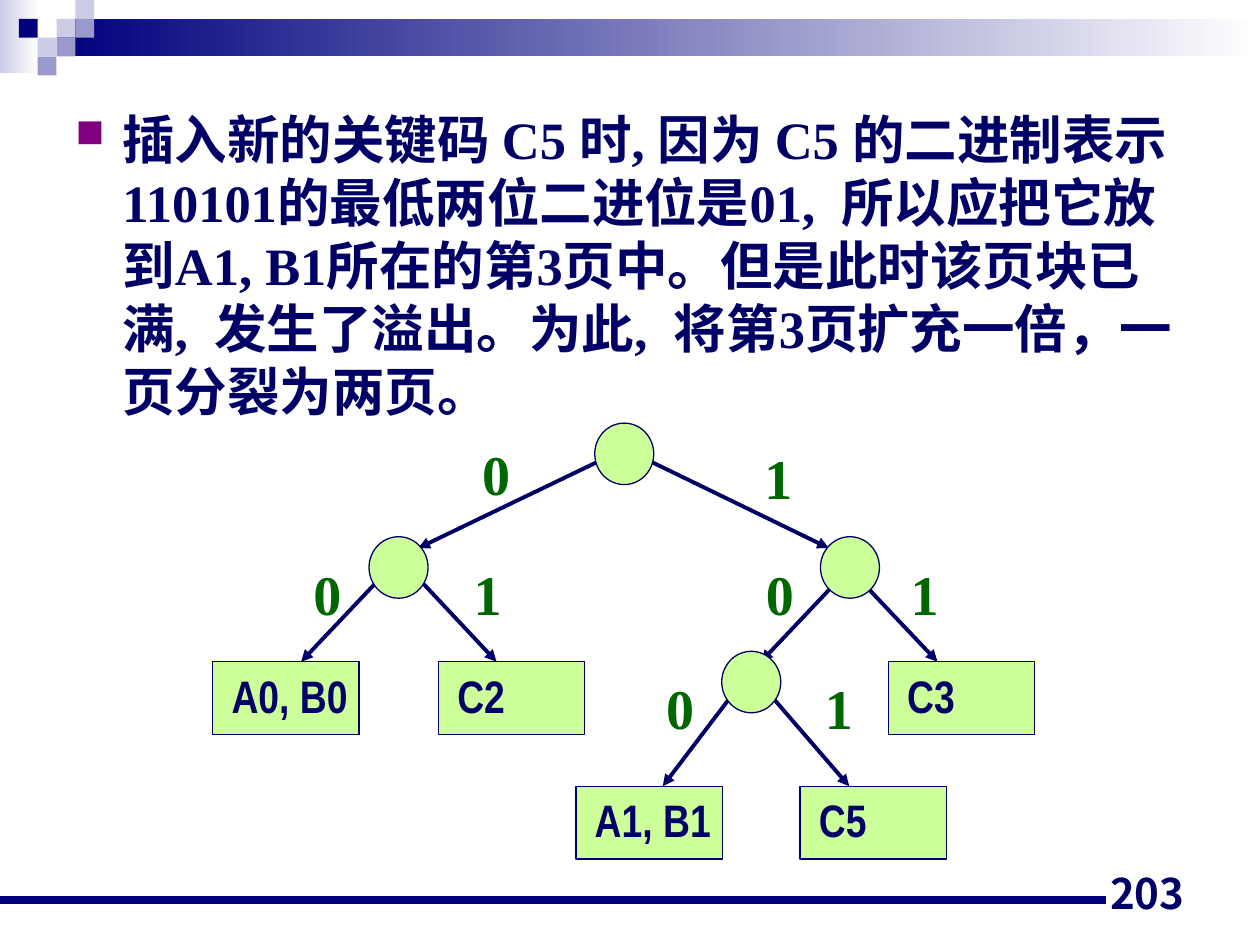
"""Build the slide on splitting a full page in a directory tree."""
from dataclasses import dataclass

from lxml.etree import SubElement
from pptx import Presentation
from pptx.dml.color import RGBColor as RGB
from pptx.enum.shapes import MSO_CONNECTOR as CONN, MSO_SHAPE as SHAPE
from pptx.enum.text import MSO_ANCHOR as ANCHOR, PP_ALIGN as ALIGN
from pptx.oxml.ns import qn
from pptx.util import Cm, Pt


@dataclass(frozen=True)
class Theme:
    ink: str = "000066"
    bit: str = "006600"
    node: str = "CCFF99"
    bullet: str = "800080"
    navy: str = "00007D"
    mid: str = "9999CC"
    pale: str = "CCCCE6"
    white: str = "FFFFFF"
    serif: str = "Times New Roman"
    narrow: str = "Arial Narrow"
    sans: str = "Noto Sans CJK JP"
    body_size: int = 30
    bit_size: int = 32
    leaf_size: int = 26
    page_size: int = 24


T = Theme()
BODY = (
    "插入新的关键码 C5 时, 因为 C5 的二进制表示110101的最低两位二进位是01,  所以应"
    "把它放到A1, B1所在的第3页中。但是此时该页块已满,  发生了溢出。为此,  将第3页"
    "扩充一倍，一页分裂为两页。"
)
PAGE = "203"

CELL = 0.38
CELLS = [(3, 1, T.pale), (4, 0, T.pale), (4, 1, T.mid), (2, 2, T.pale),
         (1, 1, T.navy), (3, 2, T.mid), (2, 3, T.mid)]
BANDS = [((0, 0, 0.79, 1.47), T.pale), ((1.14, 0.38, 24.26, 0.76), T.navy)]

NODE_SIZE = (1.19, 1.24)
LEAF_SIZE = (2.95, 1.47)
BIT_SIZE = (1.07, 1.63)
NODES = [(11.99, 8.53), (7.44, 10.82), (16.54, 10.82), (14.55, 13.13)]
LEAVES = [("A0, B0", 4.29, 13.34), ("C2", 8.84, 13.34), ("C3", 17.91, 13.34),
          ("A1, B1", 11.61, 15.85), ("C5", 16.13, 15.85)]
BRANCHES = [
    ("0", (12.4, 9.14, 8.43, 11.05), (9.47, 8.74)),
    ("1", (12.78, 9.14, 16.71, 11.05), (15.16, 8.81)),
    ("0", (7.85, 11.46, 6.07, 13.34), (6.07, 11.15)),
    ("1", (8.05, 11.25, 10.01, 13.34), (9.3, 11.15)),
    ("0", (17.12, 11.46, 15.34, 13.34), (15.19, 11.15)),
    ("1", (16.92, 11.25, 18.9, 13.34), (18.11, 11.15)),
    ("0", (14.94, 13.77, 13.36, 15.85), (13.18, 13.46)),
    ("1", (15.14, 13.56, 17.12, 15.85), (16.38, 13.46)),
]


def cm(values):
    return [Cm(v) for v in values]


def assign(obj, **values):
    for name, value in values.items():
        setattr(obj, name, value)


def add_shape(s, kind, box, color, outline=None):
    sp = s.shapes.add_shape(kind, *cm(box))
    sp.shadow.inherit = False
    sp.fill.solid()
    sp.fill.fore_color.rgb = RGB.from_string(color)
    if outline:
        sp.line.color.rgb = RGB.from_string(outline)
        sp.line.width = Pt(0.75)
    else:
        sp.line.fill.background()
    return sp


def add_band(s, box, color):
    sp = add_shape(s, SHAPE.RECTANGLE, box, color)
    sp.fill.gradient()
    sp.fill.gradient_angle = 0
    for stop, shade, pos in zip(sp.fill.gradient_stops, (color, T.white), (0, 1)):
        stop.color.rgb = RGB.from_string(shade)
        stop.position = pos


def add_line(s, ends, color, width, arrow=False):
    c = s.shapes.add_connector(CONN.STRAIGHT, *cm(ends))
    c.line.color.rgb = RGB.from_string(color)
    c.line.width = Pt(width)
    if arrow:
        SubElement(c.line._get_or_add_ln(), qn("a:tailEnd"), type="triangle")
    SubElement(c._element.spPr, qn("a:effectLst"))


def write(sp, text, font, size, color, align=ALIGN.LEFT, **frame):
    tf = sp.text_frame
    assign(tf, **{"word_wrap": False, "vertical_anchor": ANCHOR.TOP, **frame})
    p = tf.paragraphs[0]
    p.alignment = align
    r = p.add_run()
    r.text = text
    assign(r.font, name=font, size=Pt(size), bold=True)
    r.font.color.rgb = RGB.from_string(color)
    return p


def add_text(s, box, *args, **kwargs):
    return write(s.shapes.add_textbox(*cm(box)), *args, **kwargs)


def add_bullet(p, color):
    pPr = p._p.get_or_add_pPr()
    assign_indent = {"marL": Cm(0.95), "indent": -Cm(0.95)}
    for name, value in assign_indent.items():
        pPr.set(name, str(value))
    SubElement(SubElement(pPr, qn("a:buClr")), qn("a:srgbClr"), val=color)
    SubElement(pPr, qn("a:buSzPct"), val="75000")
    SubElement(pPr, qn("a:buChar"), char="■")


def draw_frame(s):
    for box, color in BANDS:
        add_band(s, box, color)
    for col, row, color in CELLS:
        add_shape(s, SHAPE.RECTANGLE, (col * CELL, row * CELL, CELL, CELL), color)
    add_line(s, (0, 18.14, 22.3, 18.14), T.navy, 4.5)
    add_text(s, (18.21, 17.35, 5.92, 1.27), PAGE, T.sans, T.page_size, T.ink,
             ALIGN.RIGHT, word_wrap=True, vertical_anchor=ANCHOR.BOTTOM)


def draw_tree(s):
    for bit, ends, spot in BRANCHES:
        add_line(s, ends, T.ink, 2.25, arrow=True)
        add_text(s, spot + BIT_SIZE, bit, T.serif, T.bit_size, T.bit)
    for spot in NODES:
        add_shape(s, SHAPE.OVAL, spot + NODE_SIZE, T.node, T.ink)
    for name, *spot in LEAVES:
        sp = add_shape(s, SHAPE.RECTANGLE, (*spot, *LEAF_SIZE), T.node, T.ink)
        write(sp, name, T.narrow, T.leaf_size, T.ink, margin_left=Cm(0.38))


def main():
    prs = Presentation()
    assign(prs, slide_width=Cm(25.4), slide_height=Cm(19.05))
    s = prs.slides.add_slide(prs.slide_layouts[6])
    draw_frame(s)
    draw_tree(s)
    p = add_text(s, (1.27, 2.03, 22.86, 6.71), BODY, T.serif, T.body_size, T.ink,
                 word_wrap=True)
    p.line_spacing = Pt(36)
    add_bullet(p, T.bullet)
    prs.save("out.pptx")


if __name__ == "__main__":
    main()
